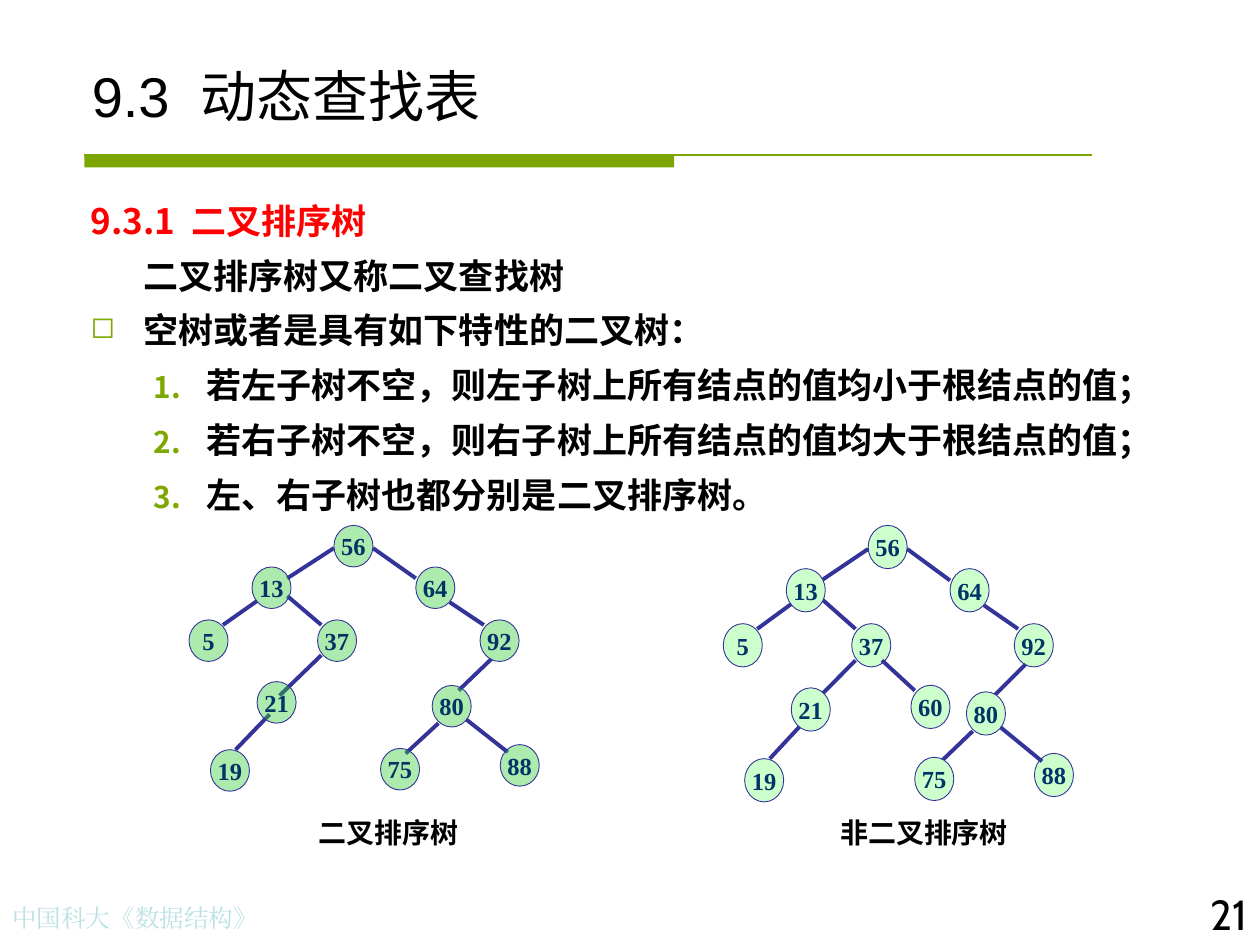
from lxml import etree
from pptx import Presentation
from pptx import util as u
from pptx.dml.color import RGBColor
from pptx.enum import shapes, text
from pptx.oxml.ns import qn

COLORS = {"rule": "7BA600", "bullet": "7CA800", "footer": "BBE0E3", "black": "000000",
          "heading": "FF0000", "edge": "333399", "value": "003366",
          "search_tree": "33CC33", "other_tree": "CCFFCC"}

deck = Presentation()
deck.slide_width, deck.slide_height = u.Inches(10), u.Inches(7.5)
page = deck.slides.add_slide(deck.slide_layouts[6])
COL, ROW = deck.slide_width / 10, deck.slide_height / 7.5


def write(para, words, font, size, color, bold=False, gap=0):
    """Fill a paragraph; gap widens its first space by that many points."""
    head, space, tail = words.partition(" ")
    for part in filter(None, (head, space, tail)):
        span = para.add_run()
        span.text = part
        style = {"name": font, "size": u.Pt(size), "bold": bold}
        for key, value in style.items():
            setattr(span.font, key, value)
        span.font.color.rgb = RGBColor.from_string(COLORS[color])
        etree.SubElement(span.font._element, qn("a:ea"), typeface=font)
        if part == " ":
            span.font._element.set("spc", str(round(gap * 100)))


def draw_line(x1, y1, x2, y2, color, width):
    line = page.shapes.add_connector(
        shapes.MSO_CONNECTOR.STRAIGHT,
        *(round(v) for v in (x1 * COL, y1 * ROW, x2 * COL, y2 * ROW)))
    line.line.color.rgb = RGBColor.from_string(COLORS[color])
    line.line.width = u.Pt(width)
    etree.SubElement(line._element.spPr, qn("a:effectLst"))


# Rule under the title: a thick start on a thin line
bar = page.shapes.add_shape(shapes.MSO_SHAPE.RECTANGLE, round(0.67 * COL), round(1.23 * ROW),
                            round(4.68 * COL), round(0.1 * ROW))
bar.shadow.inherit = False
bar.fill.solid()
bar.fill.fore_color.rgb = RGBColor.from_string(COLORS["rule"])
bar.line.fill.background()
draw_line(0.67, 1.23, 8.67, 1.23, "rule", 0.75)

# Single-line texts: left, top, width, height, alignment, anchor, then the writing style
LEFT, CENTER, RIGHT = text.PP_ALIGN.LEFT, text.PP_ALIGN.CENTER, text.PP_ALIGN.RIGHT
TOP, BOTTOM = text.MSO_ANCHOR.TOP, text.MSO_ANCHOR.BOTTOM
labels = [
    (0, 7.12, 3.11, 0.34, LEFT, TOP, ("中国科大《数据结构》", "Times New Roman", 14, "footer")),
    (0.63, 0.33, 8.75, 0.74, LEFT, BOTTOM, ("9.3 动态查找表", "Arial", 32, "black", False, 8.9)),
    (9.33, 7, 0.67, 0.59, RIGHT, TOP, ("21", "Cabin", 24, "black")),
    (2.25, 6.42, 1.67, 0.37, CENTER, TOP, ("二叉排序树", "Cabin", 16, "black", True)),
    (6.42, 6.42, 1.83, 0.37, CENTER, TOP, ("非二叉排序树", "Cabin", 16, "black", True)),
]
for left, top, width, height, align, anchor, style in labels:
    box = page.shapes.add_textbox(round(left * COL), round(top * ROW),
                                  round(width * COL), round(height * ROW))
    box.text_frame.word_wrap = True
    box.text_frame.vertical_anchor = anchor
    para = box.text_frame.paragraphs[0]
    para.alignment = align
    write(para, *style)

# Definition: words, colour, left margin, first-line indent, bullet
body = [
    ("9.3.1 二叉排序树", "heading", 0.42, -0.42, None),
    ("二叉排序树又称二叉查找树", "black", 0.42, 0, None),
    ("空树或者是具有如下特性的二叉树：", "black", 0.42, -0.42, ("a:buChar", {"char": "◻"})),
] + [
    (words, "black", 0.92, -0.42, ("a:buAutoNum", {"type": "arabicPeriod"}))
    for words in ("若左子树不空，则左子树上所有结点的值均小于根结点的值；",
                  "若右子树不空，则右子树上所有结点的值均大于根结点的值；",
                  "左、右子树也都分别是二叉排序树。")
]
box = page.shapes.add_textbox(round(0.62 * COL), round(1.47 * ROW),
                              round(8.75 * COL), round(2.7 * ROW))
frame = box.text_frame
frame.word_wrap = True
frame.margin_top = round(0.08 * ROW)
for index, (words, color, margin, indent, bullet) in enumerate(body):
    para = frame.add_paragraph() if index else frame.paragraphs[0]
    para.line_spacing = u.Pt(26.3)
    if index:
        para.space_before = u.Pt(5)
    if margin > 0.5:
        para.level = 1
    props = para._p.get_or_add_pPr()
    props.set("marL", str(round(margin * COL)))
    props.set("indent", str(round(indent * COL)))
    if bullet:
        tint = etree.SubElement(props, qn("a:buClr"))
        etree.SubElement(tint, qn("a:srgbClr"), val=COLORS["bullet"])
        etree.SubElement(props, qn("a:buSzPct"), val="85000")
        etree.SubElement(props, qn(bullet[0]), bullet[1])
    else:
        etree.SubElement(props, qn("a:buNone"))
    write(para, words, "Noto Sans CJK SC", 20, color, True, 4.5)

# Both trees share one layout: x from the page's left, y below the tree's top
TREE_TOP = 4.17
nodes = [("56", 2.65, 0), ("64", 3.3, 0.33), ("5", 1.5, 0.75), ("92", 3.81, 0.75),
         ("37", 2.52, 0.75), ("88", 3.97, 1.74), ("19", 1.67, 1.78), ("80", 3.43, 1.27),
         ("21", 2.04, 1.24), ("13", 2, 0.33), ("75", 3.02, 1.77)]
edges = [(2.65, 0.18, 2.28, 0.42), (2.04, 0.6, 1.77, 0.79), (2.96, 0.18, 3.3, 0.42),
         (2.28, 0.56, 2.55, 0.79), (2.55, 1.03, 2.22, 1.35), (3.57, 0.61, 3.84, 0.79),
         (3.9, 1.06, 3.64, 1.31), (3.7, 1.54, 4.03, 1.8), (2.14, 1.5, 1.87, 1.78),
         (3.48, 1.57, 3.22, 1.81)]
extra_node, extra_edge = ("60", 2.99, 1.22), (2.76, 1.03, 3.02, 1.26)

# Fill, opacity, shift right, vertical stretch, nodes behind the edges, nodes, edges
trees = [("other_tree", 100, 4.24, 1.04, 6, nodes + [extra_node], edges + [extra_edge]),
         ("search_tree", 40, 0, 1, 0, nodes, edges)]
for fill, opacity, shift, stretch, behind, tree_nodes, tree_edges in trees:
    parts = tree_nodes[:behind] + tree_edges + tree_nodes[behind:]
    for part in parts:
        if len(part) == 4:
            x1, y1, x2, y2 = part
            draw_line(x1 + shift, TREE_TOP + y1 * stretch,
                      x2 + shift, TREE_TOP + y2 * stretch, "edge", 2.25)
            continue
        value, x, y = part
        node = page.shapes.add_shape(
            shapes.MSO_SHAPE.OVAL, round((x + shift) * COL),
            round((TREE_TOP + y * stretch) * ROW), round(0.31 * COL), round(0.33 * stretch * ROW))
        node.shadow.inherit = False
        node.fill.solid()
        node.fill.fore_color.rgb = RGBColor.from_string(COLORS[fill])
        if opacity < 100:
            tint = node._element.spPr.find(qn("a:solidFill"))[0]
            etree.SubElement(tint, qn("a:alpha"), val=str(opacity * 1000))
        node.line.color.rgb = RGBColor.from_string(COLORS["edge"])
        node.line.width = u.Pt(0.5)
        node.text_frame.word_wrap = False
        node.text_frame.vertical_anchor = text.MSO_ANCHOR.MIDDLE
        para = node.text_frame.paragraphs[0]
        para.alignment = CENTER
        write(para, value, "Times New Roman", 14, "value", True)

deck.save("out.pptx")
